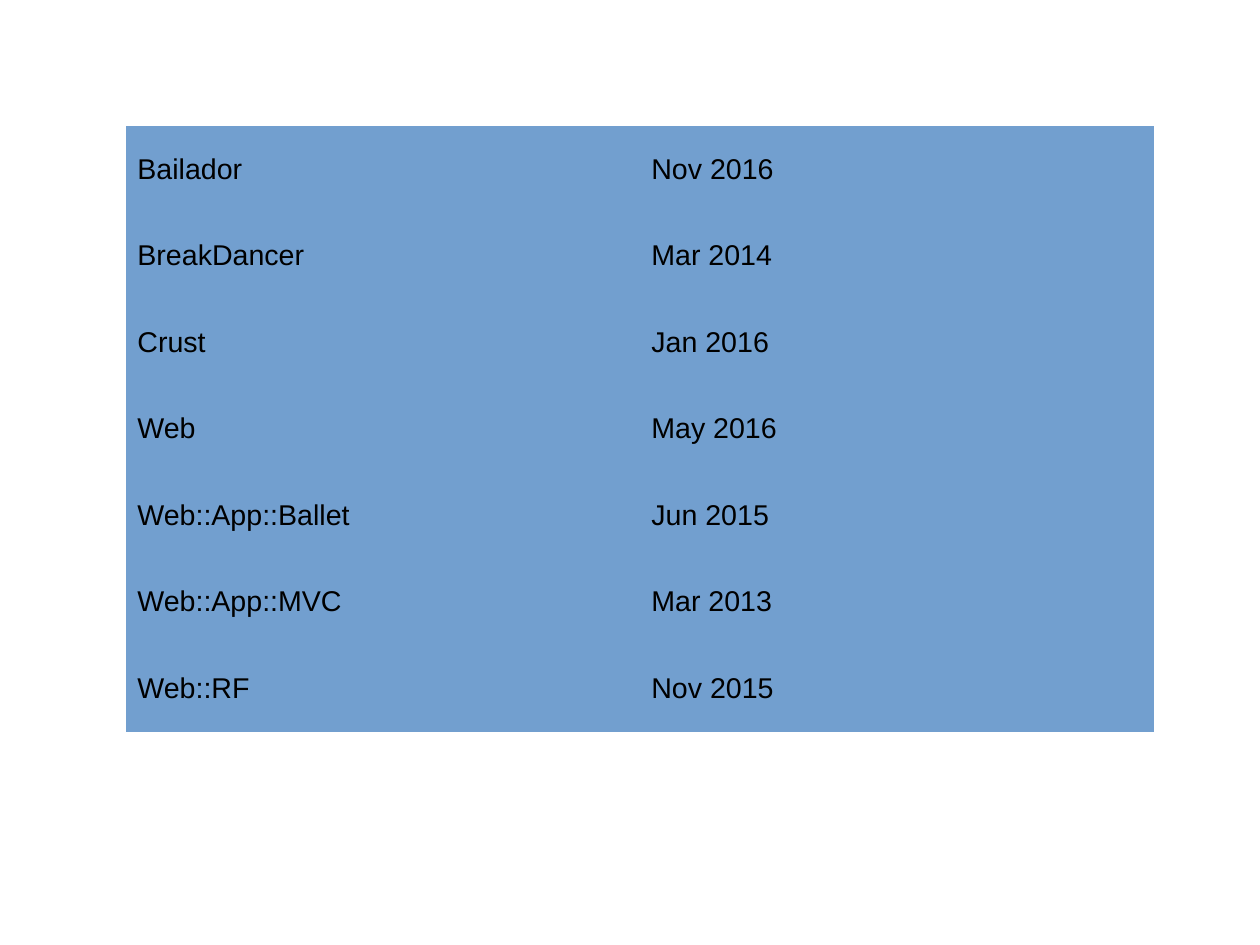
from pptx import Presentation
from pptx import util as u
from pptx.dml import color
from pptx.enum import text
from pptx.oxml import ns

NO_STYLE_NO_GRID = "{2D5ABB26-0587-4C30-8999-92F81FD0307C}"
FRAMEWORKS = [
    ("Bailador", "Nov 2016"),
    ("BreakDancer", "Mar 2014"),
    ("Crust", "Jan 2016"),
    ("Web", "May 2016"),
    ("Web::App::Ballet", "Jun 2015"),
    ("Web::App::MVC", "Mar 2013"),
    ("Web::RF", "Nov 2015"),
]
COLUMN_WIDTH, ROW_HEIGHT = 323.75, 54.53
CELL_FORMAT = {
    "vertical_anchor": text.MSO_ANCHOR.MIDDLE,
    "margin_left": u.Pt(7.2),
    "margin_right": u.Pt(7.2),
    "margin_top": u.Pt(3.6),
    "margin_bottom": u.Pt(3.6),
}
FONT_FORMAT = {"name": "Arial", "size": u.Pt(18), "bold": False}


def paint(color_format, hex_color):
    color_format.rgb = color.RGBColor.from_string(hex_color)


prs = Presentation()
prs.slide_width, prs.slide_height = u.Pt(793.7), u.Pt(595.28)
slide = prs.slides.add_slide(prs.slide_layouts[6])

releases = slide.shapes.add_table(
    len(FRAMEWORKS), 2, u.Pt(79.37), u.Pt(79.37),
    u.Pt(2 * COLUMN_WIDTH), u.Pt(len(FRAMEWORKS) * ROW_HEIGHT),
).table
releases.first_row = releases.horz_banding = False
releases._tbl.tblPr.find(ns.qn("a:tableStyleId")).text = NO_STYLE_NO_GRID

for column in releases.columns:
    column.width = u.Pt(COLUMN_WIDTH)

for row, framework in zip(releases.rows, FRAMEWORKS):
    row.height = u.Pt(ROW_HEIGHT)
    for cell, wording in zip(row.cells, framework):
        for attribute, value in CELL_FORMAT.items():
            setattr(cell, attribute, value)
        cell.fill.solid()
        paint(cell.fill.fore_color, "729FCF")
        run = cell.text_frame.paragraphs[0].add_run()
        run.text = wording
        for attribute, value in FONT_FORMAT.items():
            setattr(run.font, attribute, value)
        paint(run.font.color, "000000")

prs.save("out.pptx")
